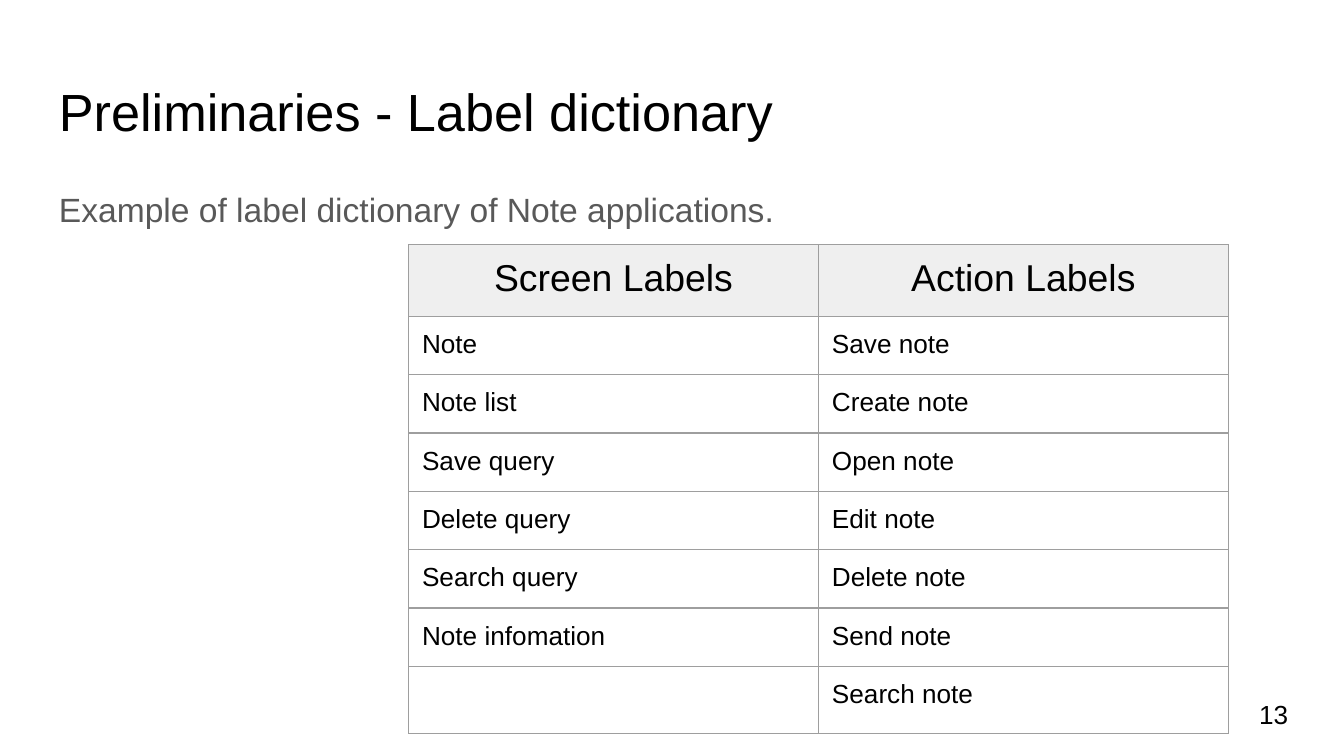
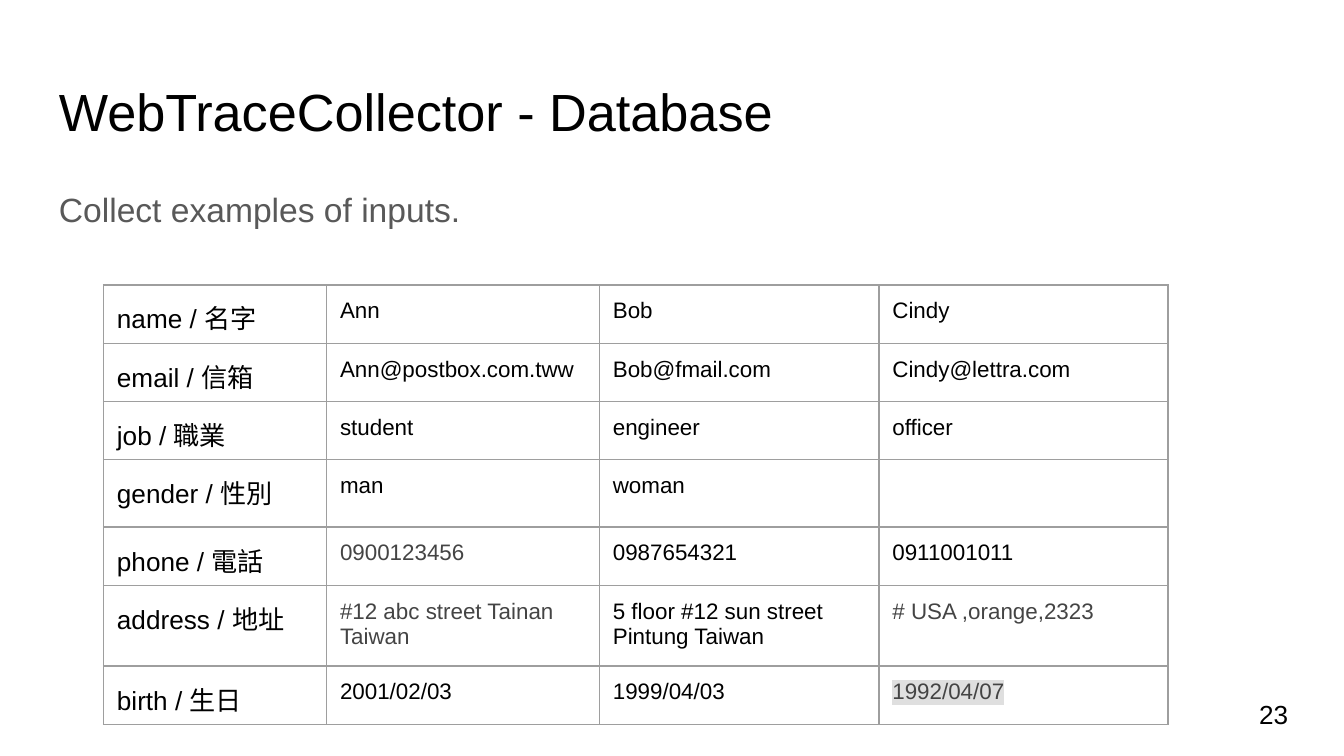
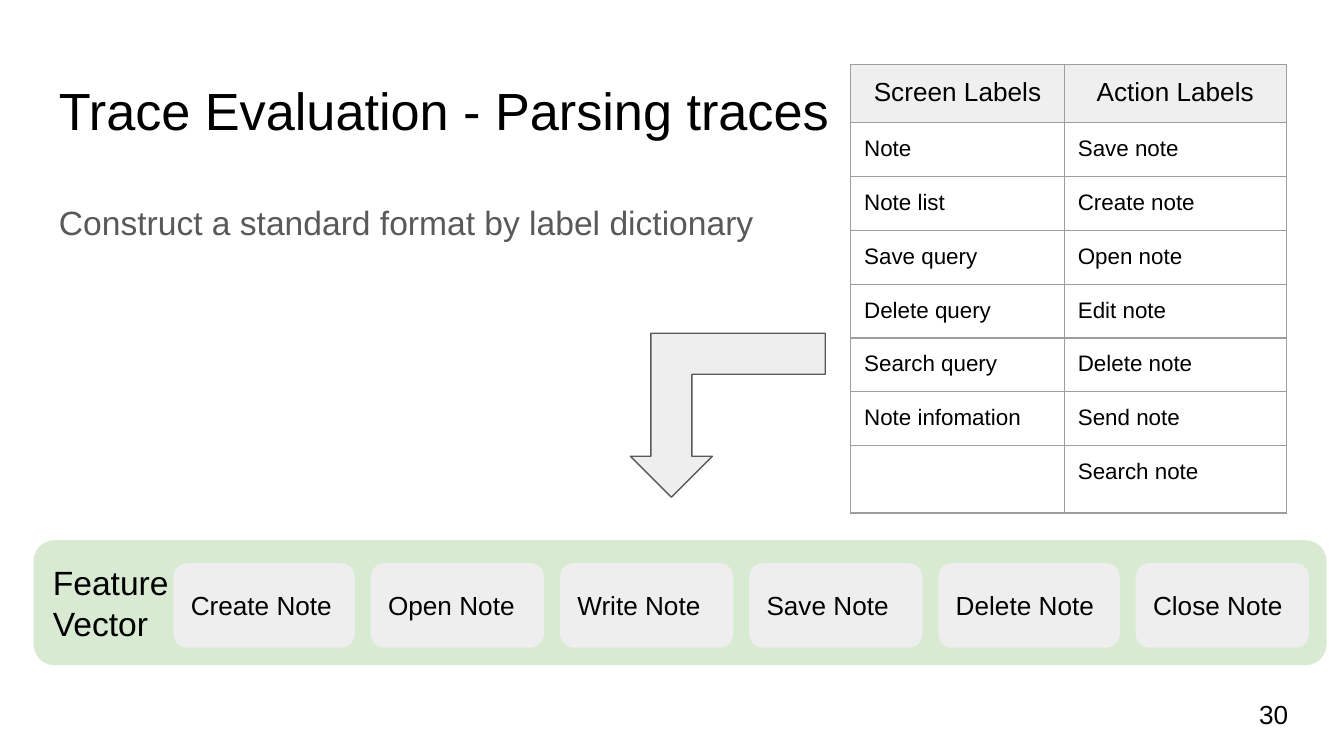
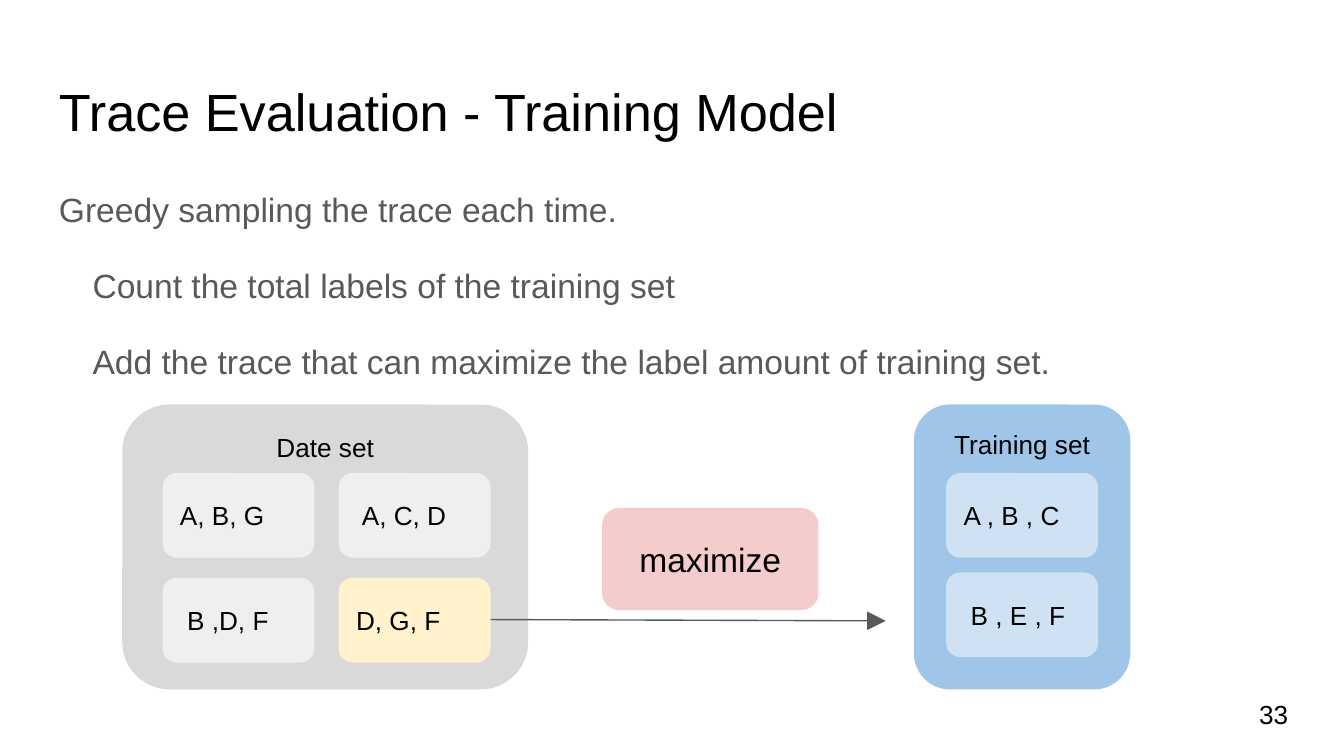
"""Build four slides on label dictionaries, input data and trace evaluation."""
import pptx
import pptx.dml.color
import pptx.enum.shapes
import pptx.enum.text
import pptx.oxml.ns
import pptx.util
from lxml import etree
from pptx.util import Inches

FONT = "Arial"
BLACK, BODY_GREY, INPUT_GREY = "000000", "595959", "444444"
BORDER, HEADER_FILL, CHIP_FILL, PALE_GREY = "9E9E9E", "EFEFEF", "EEEEEE", "EFEFEF"
GREEN, BLUE, PALE_BLUE = "D9EAD3", "9FC5E8", "CFE2F3"
GREY, YELLOW, PINK, HIGHLIGHT = "D9D9D9", "FFF2CC", "F4CCCC", "DFDFDF"

LABELS = [
    ("Screen Labels", "Action Labels"),
    ("Note", "Save note"),
    ("Note list", "Create note"),
    ("Save query", "Open note"),
    ("Delete query", "Edit note"),
    ("Search query", "Delete note"),
    ("Note infomation", "Send note"),
    ("", "Search note"),
]
INPUTS = [
    ("name / 名字", "Ann", "Bob", "Cindy"),
    ("email / 信箱", "Ann@postbox.com.tww", "Bob@fmail.com", "Cindy@lettra.com"),
    ("job / 職業", "student", "engineer", "officer"),
    ("gender / 性別", "man", "woman", ""),
    ("phone / 電話", "0900123456", "0987654321", "0911001011"),
    ("address / 地址", "#12 abc street Tainan Taiwan",
     "5 floor #12 sun street Pintung Taiwan", "# USA ,orange,2323"),
    ("birth / 生日", "2001/02/03", "1999/04/03", "1992/04/07"),
]
GREY_INPUTS = {(4, 1), (5, 1), (5, 3), (6, 3)}
HIGHLIGHTED_INPUT = (6, 3)
FEATURES = [("Create Note", 1.35), ("Open Note", 1.29), ("Write Note", 1.29),
            ("Save Note", 1.29), ("Delete Note", 1.35), ("Close Note", 1.29)]
DATA_SET = [[("A, B, G", PALE_GREY), (" A, C, D", PALE_GREY)],
            [(" B ,D, F", PALE_GREY), ("D, G, F", YELLOW)]]
TRAINING_SET = ["A , B , C", " B , E , F"]
GREEDY_STEPS = ["Greedy sampling the trace each time.",
                "Count the total labels of the training set",
                "Add the trace that can maximize the label amount of training set."]


def color(value):
    return pptx.dml.color.RGBColor.from_string(value)


def drawing_element(parent, tag, **attributes):
    return etree.SubElement(parent, pptx.oxml.ns.qn("a:" + tag), attributes)


def set_margins(holder):
    for side in ("left", "top", "right", "bottom"):
        setattr(holder, "margin_" + side, Inches(0.1))


def write(frame, text, size=14, ink=BLACK, centered=False, line_spacing=None,
          space_after=None, indented=False, highlight=None):
    for index, line in enumerate(text.split("\n")):
        paragraph = frame.add_paragraph() if index else frame.paragraphs[0]
        paragraph.alignment = (pptx.enum.text.PP_ALIGN.CENTER if centered
                               else pptx.enum.text.PP_ALIGN.LEFT)
        if line_spacing:
            paragraph.line_spacing = line_spacing
        if space_after:
            paragraph.space_after = pptx.util.Pt(space_after)
        if indented and index:
            properties = paragraph._p.get_or_add_pPr()
            properties.set("marL", str(Inches(0.5)))
            properties.set("indent", str(Inches(-0.25)))
        run = paragraph.add_run()
        run.text = line
        run.font.size = pptx.util.Pt(size)
        run.font.color.rgb = color(ink)
        if highlight:
            mark = drawing_element(run._r.get_or_add_rPr(), "highlight")
            drawing_element(mark, "srgbClr", val=highlight)
        run.font.name = FONT


def write_shape(shape, text, middle=False, **text_format):
    frame = shape.text_frame
    frame.word_wrap = True
    anchors = pptx.enum.text.MSO_ANCHOR
    frame.vertical_anchor = anchors.MIDDLE if middle else anchors.TOP
    set_margins(frame)
    write(frame, text, **text_format)


def add_text(slide, left, top, width, height, text, **text_format):
    box = slide.shapes.add_textbox(*map(Inches, (left, top, width, height)))
    write_shape(box, text, **text_format)


def add_block(slide, left, top, width, height, fill, text="", kind="ROUNDED_RECTANGLE",
              line=None, **text_format):
    shape = slide.shapes.add_shape(getattr(pptx.enum.shapes.MSO_SHAPE, kind),
                                   *map(Inches, (left, top, width, height)))
    shape.shadow.inherit = False
    shape.fill.solid()
    shape.fill.fore_color.rgb = color(fill)
    if line:
        shape.line.color.rgb = color(line)
        shape.line.width = pptx.util.Pt(0.75)
    else:
        shape.line.fill.background()
    if text:
        write_shape(shape, text, **text_format)
    return shape


def style_cell(cell, fill):
    set_margins(cell)
    properties = cell._tc.get_or_add_tcPr()
    for side in ("lnL", "lnR", "lnT", "lnB"):
        border = drawing_element(properties, side, w=str(pptx.util.Pt(0.75)))
        drawing_element(drawing_element(border, "solidFill"), "srgbClr", val=BORDER)
    if fill:
        cell.fill.solid()
        cell.fill.fore_color.rgb = color(fill)
    else:
        cell.fill.background()


def add_table(slide, left, top, widths, heights, rows, cell_format):
    frame = slide.shapes.add_table(len(rows), len(widths), Inches(left), Inches(top),
                                   Inches(sum(widths)), Inches(sum(heights)))
    table = frame.table
    table.first_row = table.horz_banding = False
    for column, width in zip(table.columns, widths):
        column.width = Inches(width)
    for row_index, (row, height) in enumerate(zip(rows, heights)):
        table.rows[row_index].height = Inches(height)
        for column_index, text in enumerate(row):
            cell = table.cell(row_index, column_index)
            fill, text_format = cell_format(row_index, column_index)
            style_cell(cell, fill)
            if text:
                write(cell.text_frame, text, **text_format)


def add_label_table(slide, left, top, widths, heights, header_size, size):
    def label_format(row, column):
        if row == 0:
            return HEADER_FILL, {"size": header_size, "centered": True}
        return None, {"size": size}
    add_table(slide, left, top, widths, heights, LABELS, label_format)


def input_format(row, column):
    return None, {"size": 12 if column else 14,
                  "ink": INPUT_GREY if (row, column) in GREY_INPUTS else BLACK,
                  "highlight": HIGHLIGHT if (row, column) == HIGHLIGHTED_INPUT else None}


def add_slide(presentation, title, body, number, title_top=0.49, body_top=1.26):
    slide = presentation.slides.add_slide(presentation.slide_layouts[6])
    add_text(slide, 0.34, title_top, 9.32, 0.63, title, size=28)
    add_text(slide, 0.34, body_top, 9.32, 3.74, body, size=18, ink=BODY_GREY,
             line_spacing=1.15, space_after=16, indented=True)
    add_text(slide, 9.27, 5.1, 0.6, 0.43, str(number), middle=True)
    return slide


def add_dictionary_slide(presentation):
    slide = add_slide(presentation, "Preliminaries - Label dictionary",
                      "Example of label dictionary of Note applications.", 13)
    add_label_table(slide, 3.04, 1.82, [3.05] * 2, [0.47, 0.38] + [0.37] * 6, 20, 14)


def add_database_slide(presentation):
    slide = add_slide(presentation, "WebTraceCollector - Database",
                      "Collect examples of inputs.", 23)
    add_table(slide, 0.77, 2.12, [1.66, 2.03, 2.08, 2.15], [0.42] * len(INPUTS),
              INPUTS, input_format)


def add_parsing_slide(presentation):
    slide = add_slide(presentation, "Trace Evaluation - Parsing traces",
                      "Construct a standard format by label dictionary", 30,
                      title_top=0.48, body_top=1.36)
    add_block(slide, 0.25, 4.02, 9.62, 0.93, GREEN, "Feature\nVector", size=18, middle=True)
    left, right = 1.29, 9.74
    gap = (right - left - sum(width for _, width in FEATURES)) / (len(FEATURES) - 1)
    for feature, width in FEATURES:
        add_block(slide, left, 4.19, width, 0.63, CHIP_FILL, feature, middle=True)
        left += width + gap
    add_label_table(slide, 6.33, 0.48, [1.59, 1.65], [0.36] + [0.33] * 6 + [0.4], 14, 12)
    arrow = add_block(slide, 4.69, 2.48, 1.45, 1.22, CHIP_FILL,
                      kind="BENT_UP_ARROW", line=BODY_GREY)
    arrow.rotation = 180


def add_training_slide(presentation):
    slide = add_slide(presentation, "Trace Evaluation - Training Model",
                      "\n".join(GREEDY_STEPS), 33)
    trace_width, trace_height, trace_top = 1.13, 0.63, 3.52
    add_block(slide, 6.8, 3.01, 1.61, 2.12, BLUE, "Training set", centered=True)
    for index, trace in enumerate(TRAINING_SET):
        add_block(slide, 7.04, trace_top + index * 0.74, trace_width, trace_height,
                  PALE_BLUE, trace, middle=True)
    add_block(slide, 0.91, 3.01, 3.02, 2.12, GREY, "Date set", centered=True)
    for row_index, row in enumerate(DATA_SET):
        for column_index, (trace, fill) in enumerate(row):
            add_block(slide, 1.21 + column_index * 1.31, trace_top + row_index * 0.78,
                      trace_width, trace_height, fill, trace, middle=True)
    add_block(slide, 4.48, 3.78, 1.61, 0.76, PINK, "maximize", size=18,
              centered=True, middle=True)
    arrow = slide.shapes.add_connector(pptx.enum.shapes.MSO_CONNECTOR.STRAIGHT,
                                       *map(Inches, (3.65, 4.61, 6.59, 4.62)))
    arrow.line.color.rgb = color(BODY_GREY)
    arrow.line.width = pptx.util.Pt(0.75)
    drawing_element(arrow.line._get_or_add_ln(), "tailEnd", type="triangle", w="lg", len="lg")
    drawing_element(arrow._element.spPr, "effectLst")


def main():
    presentation = pptx.Presentation()
    presentation.slide_width = Inches(10)
    presentation.slide_height = presentation.slide_width * 9 // 16
    add_dictionary_slide(presentation)
    add_database_slide(presentation)
    add_parsing_slide(presentation)
    add_training_slide(presentation)
    presentation.save("out.pptx")


if __name__ == "__main__":
    main()
